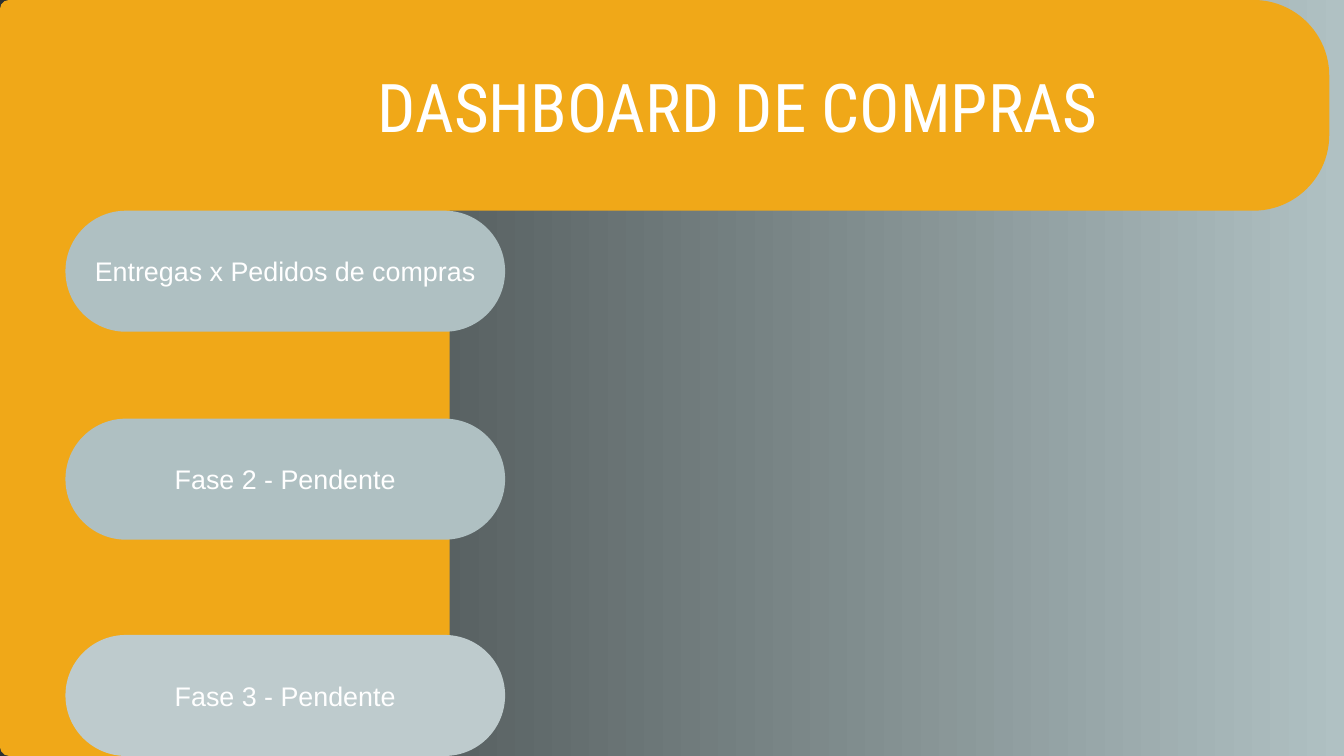
"""Build the purchasing dashboard cover slide."""
from pptx import Presentation
from pptx.dml.color import RGBColor
from pptx.enum.shapes import MSO_SHAPE
from pptx.enum.text import MSO_ANCHOR, PP_ALIGN
from pptx.util import Cm, Pt

ROUNDED = MSO_SHAPE.ROUNDED_RECTANGLE
MIDDLE = MSO_ANCHOR.MIDDLE
LEFT, CENTER = PP_ALIGN.LEFT, PP_ALIGN.CENTER

COLORS = {
    "dark": "2C3131",
    "mist": "B0C1C3",
    "amber": "F0A818",
    "phase": "AFC0C2",
    "last_phase": "BECBCD",
    "text": "FFFFFF",
}
SLIDE_WIDTH, SLIDE_HEIGHT = 33.87, 19.05
BANNER_HEIGHT = 5.31
PHASE_HEIGHT = 3.05
PHASES = [
    ("Entregas x Pedidos de compras", BANNER_HEIGHT, "phase"),
    ("Fase 2 - Pendente", 10.55, "phase"),
    ("Fase 3 - Pendente", SLIDE_HEIGHT - PHASE_HEIGHT, "last_phase"),
]


def rgb(name):
    """Return the named palette colour."""
    return RGBColor.from_string(COLORS[name])


def add_panel(slide, box, color, radius):
    """Add a borderless rounded panel; box and corner radius are in cm."""
    left, top, width, height = box
    panel = slide.shapes.add_shape(ROUNDED, Cm(left), Cm(top), Cm(width), Cm(height))
    panel.adjustments[0] = radius / min(width, height)
    panel.shadow.inherit = False
    panel.fill.solid()
    panel.fill.fore_color.rgb = rgb(color)
    panel.line.fill.background()
    return panel


def write(panel, text, size, font="Arial", align=CENTER, inset=0):
    """Write one formatted line of text into a panel."""
    frame = panel.text_frame
    frame.word_wrap = True
    frame.vertical_anchor = MIDDLE
    frame.margin_left = frame.margin_right = Cm(inset)
    paragraph = frame.paragraphs[0]
    paragraph.alignment = align
    run = paragraph.add_run()
    run.text = text
    run.font.size = Pt(size)
    run.font.name = font
    run.font.color.rgb = rgb("text")


def paint_background(slide):
    """Fill the background with a left-to-right gradient."""
    fill = slide.background.fill
    fill.gradient()
    fill.gradient_angle = 0
    for stop, color, position in zip(fill.gradient_stops, ("dark", "mist"), (0, 1)):
        stop.color.rgb = rgb(color)
        stop.position = position


def add_banner(slide, box):
    """Add the title banner."""
    banner = add_panel(slide, box, "amber", 1.91)
    write(banner, "DASHBOARD DE COMPRAS", 48, font="Roboto Condensed", align=LEFT, inset=0.2)


def add_phases(slide, left, width):
    """Add the column of phase pills."""
    for label, top, color in PHASES:
        pill = add_panel(slide, (left, top, width, PHASE_HEIGHT), color, PHASE_HEIGHT / 2)
        write(pill, label, 19.2)


def main():
    """Assemble and save the slide."""
    deck = Presentation()
    deck.slide_width, deck.slide_height = Cm(SLIDE_WIDTH), Cm(SLIDE_HEIGHT)
    slide = deck.slides.add_slide(deck.slide_layouts[6])
    paint_background(slide)
    add_panel(slide, (0, 0, 11.33, SLIDE_HEIGHT), "amber", 0.23)
    add_banner(slide, (8.76, 0, 24.74, BANNER_HEIGHT))
    add_phases(slide, 1.65, 11.08)
    deck.save("out.pptx")


if __name__ == "__main__":
    main()
